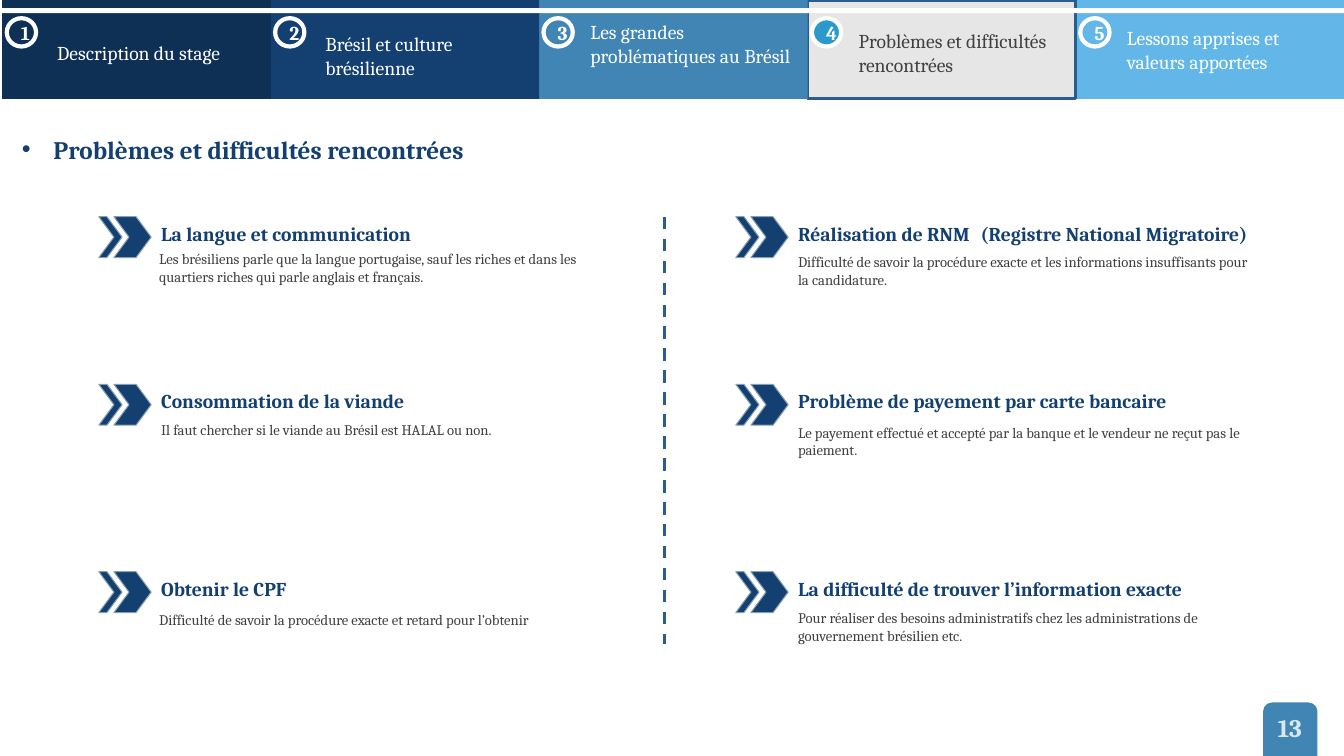
from dataclasses import dataclass

from lxml.etree import SubElement
from pptx import Presentation
from pptx.dml.color import RGBColor
from pptx.enum.dml import MSO_LINE
from pptx.enum.shapes import MSO_CONNECTOR, MSO_SHAPE as SHAPE
from pptx.enum.text import MSO_ANCHOR as ANCHOR, PP_ALIGN as ALIGN
from pptx.oxml.ns import qn
from pptx.util import Pt


@dataclass(frozen=True)
class Theme:
    font: str = "Cambria"
    white: str = "FFFFFF"
    midnight: str = "0E3054"
    navy: str = "134070"
    steel: str = "4185B5"
    grey: str = "E6E6E6"
    sky: str = "62B7E8"
    cyan: str = "2B99CB"
    edge: str = "285D8D"
    chevron_edge: str = "869FB2"
    body: str = "404040"
    page: str = "D8E7F1"
    title_size: float = 18
    heading_size: float = 14
    body_size: float = 10.5


theme = Theme()


def paint(shape, fill, line=None, weight=1):
    shape.shadow.inherit = False
    shape.fill.solid()
    shape.fill.fore_color.rgb = RGBColor.from_string(fill)
    if line:
        shape.line.color.rgb = RGBColor.from_string(line)
        shape.line.width = Pt(weight)
    else:
        shape.line.fill.background()


def write(shape, text, size=theme.heading_size, color=theme.navy, bold=False,
          align=ALIGN.LEFT, anchor=ANCHOR.TOP, bullet=None, indent=0):
    frame = shape.text_frame
    frame.word_wrap = True
    frame.vertical_anchor = anchor
    paragraph = frame.paragraphs[0]
    paragraph.alignment = align
    if bullet:
        properties = paragraph._p.get_or_add_pPr()
        properties.set("marL", str(Pt(indent)))
        properties.set("indent", str(-Pt(indent)))
        SubElement(properties, qn("a:buFont"), typeface="Arial")
        SubElement(properties, qn("a:buChar"), char=bullet)
    run = paragraph.add_run()
    run.text = text
    run.font.name = theme.font
    run.font.size = Pt(size)
    run.font.bold = bold
    run.font.color.rgb = RGBColor.from_string(color)


presentation = Presentation()
presentation.slide_width, presentation.slide_height = Pt(960), Pt(540)
slide = presentation.slides.add_slide(presentation.slide_layouts[6])
shapes = slide.shapes

# Navigation bar: label, tab colour, badge colour, text colour, label left, top, width
sections = [
    ("Description du stage", theme.midnight, theme.midnight, theme.white, 33.8, 26, 178),
    ("Brésil et culture brésilienne", theme.navy, theme.navy, theme.white, 225.4, 19.4, 155),
    ("Les grandes problématiques au Brésil", theme.steel, theme.steel, theme.white,
     414.7, 10.8, 160.6),
    ("Problèmes et difficultés rencontrées", theme.grey, theme.cyan, theme.body,
     606.2, 17.3, 157.7),
    ("Lessons apprises et valeurs apportées", theme.sky, theme.sky, theme.white,
     797.8, 15.1, 143.3),
]
current_section = 4
tab_left, tab_step, tab_width, tab_height = 1.44, 191.7, 192, 70.6
tabs = [(number, tab_left + (number - 1) * tab_step, *section)
        for number, section in enumerate(sections, start=1)]

for number, left, _, tab_color, *_ in reversed(tabs):
    tab = shapes.add_shape(SHAPE.RECTANGLE, Pt(left), 0, Pt(tab_width), Pt(tab_height))
    paint(tab, tab_color, theme.edge if number == current_section else None, 2.25)

strip = shapes.add_shape(SHAPE.RECTANGLE, 0, Pt(5.8), Pt(960), Pt(3.6))
paint(strip, theme.white)

for number, left, label, _, badge_color, label_color, label_left, label_top, label_width in tabs:
    badge = shapes.add_shape(SHAPE.OVAL, Pt(left + 3.4), Pt(13), Pt(20.9), Pt(20.2))
    paint(badge, badge_color, theme.white, 3)
    write(badge, str(number), color=theme.white, bold=True,
          align=ALIGN.CENTER, anchor=ANCHOR.MIDDLE)
    label_box = shapes.add_textbox(Pt(label_left), Pt(label_top), Pt(label_width), Pt(41))
    write(label_box, label, color=label_color)

title = shapes.add_textbox(Pt(8.6), Pt(92.2), Pt(480), Pt(28.8))
write(title, "Problèmes et difficultés rencontrées", size=theme.title_size,
      bold=True, bullet="•", indent=22.5)

# Difficulties: heading, detail, detail offset from the heading (right, down)
column_lefts = [70.6, 525.6]
row_tops = [154.8, 274.5, 408.4]
difficulties = [
    [("La langue et communication",
      "Les brésiliens parle que la langue portugaise, sauf les riches et dans les "
      "quartiers riches qui parle anglais et français.", -1.4, 20.2),
     ("Consommation de la viande",
      "Il faut chercher si le viande au Brésil est HALAL ou non.", 0, 22.3),
     ("Obtenir le CPF",
      "Difficulté de savoir la procédure exacte et retard pour l’obtenir", -1.4, 24.5)],
    [("Réalisation de RNM",
      "Difficulté de savoir la procédure exacte et les informations insuffisants "
      "pour la candidature.", 0, 22.3),
     ("Problème de payement par carte bancaire",
      "Le payement effectué et accepté par la banque et le vendeur ne reçut pas "
      "le paiement.", 0, 24.5),
     ("La difficulté de trouver l’information exacte",
      "Pour réaliser des besoins administratifs chez les administrations de "
      "gouvernement brésilien etc.", 0, 23)],
]
chevron_height, chevron_tip = 29.2, 10.8
chevrons = [(10.8, 15.8), (0, 5.8)]  # offset and shoulder width

for column_left, column in zip(column_lefts, difficulties):
    for top, (heading, detail, shift, drop) in zip(row_tops, column):
        marker = shapes.add_group_shape()
        middle, bottom = top + chevron_height / 2, top + chevron_height
        for offset, shoulder in chevrons:
            left = column_left + offset
            right = left + shoulder
            outline = marker.shapes.build_freeform(Pt(left), Pt(top))
            outline.add_line_segments(
                [(Pt(x), Pt(y)) for x, y in [
                    (left + chevron_tip, middle), (left, bottom), (right, bottom),
                    (right + chevron_tip, middle), (right, top)]], close=True)
            paint(outline.convert_to_shape(), theme.navy, theme.chevron_edge, 0.75)

        text_left = column_left + 37.4
        heading_box = shapes.add_textbox(Pt(text_left), Pt(top), Pt(345), Pt(24.5))
        write(heading_box, heading, bold=True)
        detail_box = shapes.add_textbox(Pt(text_left + shift), Pt(top + drop), Pt(341.3), Pt(32.4))
        write(detail_box, detail, size=theme.body_size, color=theme.body)

registry = shapes.add_textbox(Pt(693.4), Pt(row_tops[0]), Pt(219.6), Pt(24.5))
write(registry, "(Registre National Migratoire)", bold=True)

divider = shapes.add_connector(MSO_CONNECTOR.STRAIGHT, Pt(474.5), Pt(154.8), Pt(474.5), Pt(460))
divider.line.color.rgb = RGBColor.from_string(theme.edge)
divider.line.width = Pt(2.25)
divider.line.dash_style = MSO_LINE.DASH
SubElement(divider._element.spPr, qn("a:effectLst"))

page_tab = shapes.add_shape(SHAPE.ROUNDED_RECTANGLE, Pt(902.2), Pt(501.8), Pt(38.9), Pt(64.8))
paint(page_tab, theme.steel)
page_number = shapes.add_textbox(Pt(902.2), Pt(505.4), Pt(38.2), Pt(28.8))
write(page_number, "13", size=theme.title_size, color=theme.page, bold=True, align=ALIGN.CENTER)

presentation.save("out.pptx")
